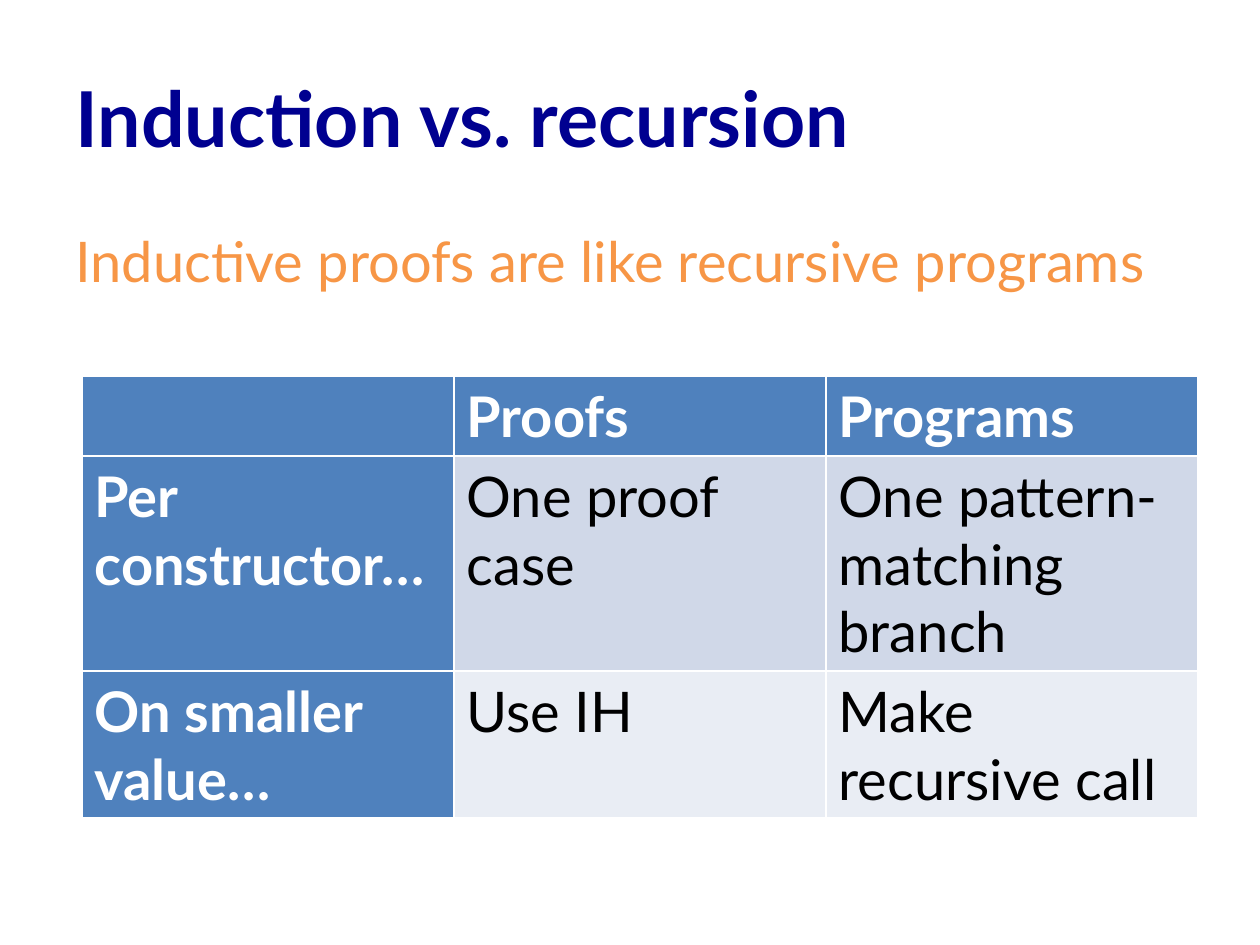
from pptx import Presentation
from pptx.dml.color import RGBColor
from pptx.enum.text import MSO_ANCHOR, PP_ALIGN
from pptx.util import Emu, Pt

NAVY = RGBColor(0x00, 0x00, 0x90)
ORANGE = RGBColor(0xF7, 0x96, 0x46)
BLUE = RGBColor(0x4F, 0x81, 0xBD)
PALE_BLUE = RGBColor(0xD0, 0xD8, 0xE8)
PALER_BLUE = RGBColor(0xE9, 0xED, 0xF4)
WHITE = RGBColor(0xFF, 0xFF, 0xFF)
BLACK = RGBColor(0x00, 0x00, 0x00)


def px(length):
    return Emu(round(length * 914400 / 126))


def format_font(paragraph, size, color, bold):
    paragraph.font.name = "Lato"
    paragraph.font.size = Pt(size)
    paragraph.font.color.rgb = color
    paragraph.font.bold = bold


presentation = Presentation()
presentation.slide_width = px(1260)
presentation.slide_height = px(945)
slide = presentation.slides.add_slide(presentation.slide_layouts[5])

title = slide.shapes.title
title.left, title.top, title.width, title.height = px(63), px(38), px(1134), px(158)
title.text_frame.text = "Induction vs. recursion"
title.text_frame.vertical_anchor = MSO_ANCHOR.MIDDLE
paragraph = title.text_frame.paragraphs[0]
paragraph.alignment = PP_ALIGN.LEFT
format_font(paragraph, 44, NAVY, True)

body = slide.shapes.add_textbox(px(63), px(220), px(1134), px(624))
body.text_frame.word_wrap = True
paragraph = body.text_frame.paragraphs[0]
paragraph.text = "Inductive proofs are like recursive programs"
paragraph.space_before = Pt(6.4)
format_font(paragraph, 32, ORANGE, False)

rows = [
    ["", "Proofs", "Programs"],
    ["Per constructor…", "One proof case", "One pattern-matching branch"],
    ["On smaller value…", "Use IH", "Make recursive call"],
]
row_heights = [79, 215, 147]
row_fills = [BLUE, PALE_BLUE, PALER_BLUE]

table_frame = slide.shapes.add_table(3, 3, px(82), px(376), px(1116), px(sum(row_heights)))
table = table_frame.table
table.first_col = True
for column in table.columns:
    column.width = px(372)
for row_index, texts in enumerate(rows):
    table.rows[row_index].height = px(row_heights[row_index])
    for column_index, text in enumerate(texts):
        heading = row_index == 0 or column_index == 0
        cell = table.cell(row_index, column_index)
        cell.text = text
        cell.fill.solid()
        cell.fill.fore_color.rgb = BLUE if heading else row_fills[row_index]
        format_font(cell.text_frame.paragraphs[0], 32, WHITE if heading else BLACK, heading)

presentation.save("out.pptx")
